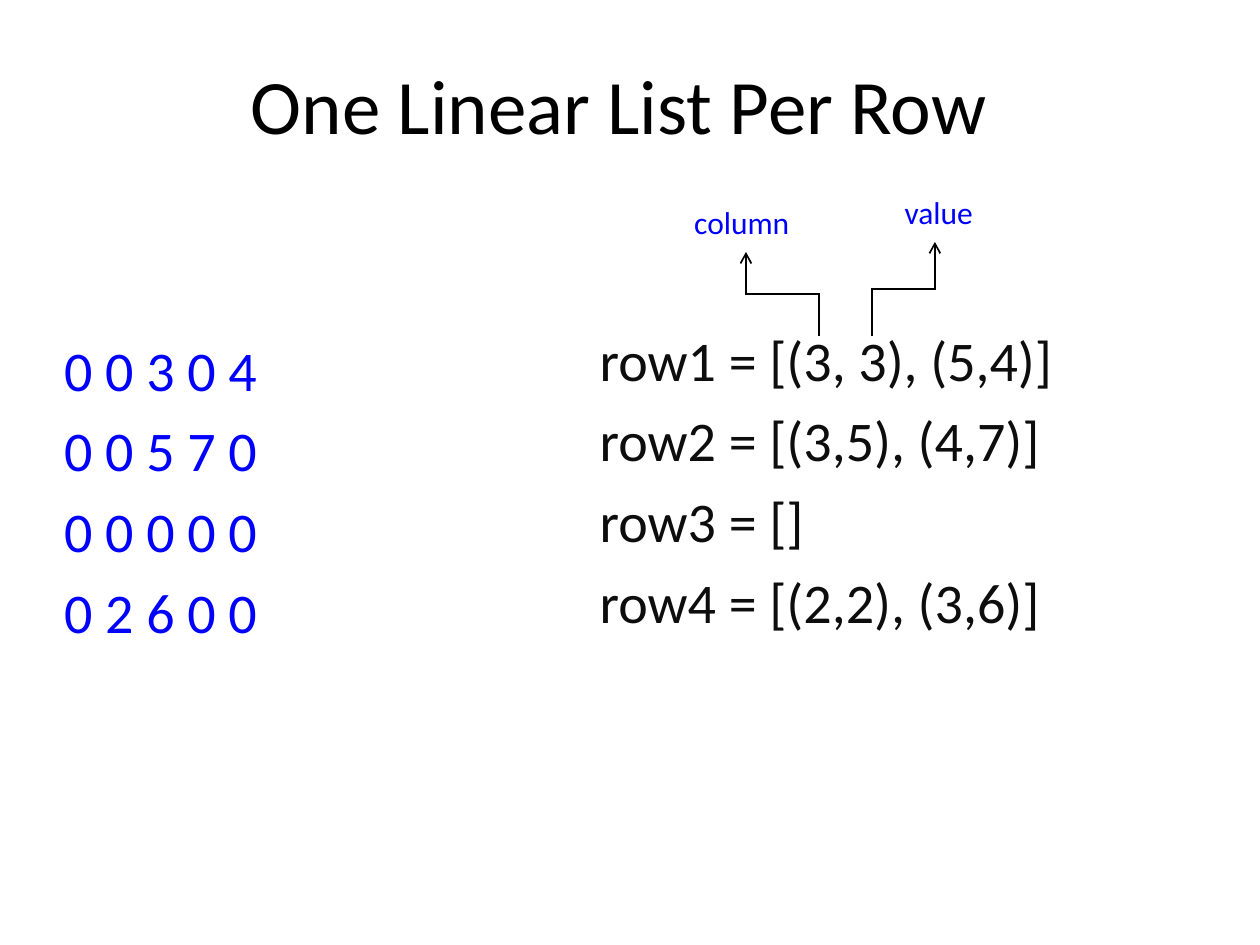
from lxml import etree
from pptx import Presentation
from pptx.dml.color import RGBColor
from pptx.oxml import ns
from pptx.util import Inches, Pt

BLUE, DARK, BLACK = "0000FF", "0D0D0D", "000000"

deck = Presentation()
deck.slide_width, deck.slide_height = Inches(10), Inches(7.5)
page = deck.slides.add_slide(deck.slide_layouts[6])


def add_text(lines, left, top, width, height, size, color, inset=0.01, first_gap=1, gap=7.7):
    """Add a text box with one paragraph per line; gaps are points before a paragraph."""
    box = page.shapes.add_textbox(Inches(left), Inches(top), Inches(width), Inches(height))
    frame = box.text_frame
    frame.word_wrap = True
    frame.margin_left, frame.margin_top = Inches(0.01), Inches(inset)
    frame.margin_right = frame.margin_bottom = 0
    for index, line in enumerate(lines):
        para = frame.add_paragraph() if index else frame.paragraphs[0]
        para.space_before = Pt(gap if index else first_gap)
        span = para.add_run()
        span.text = line
        span.font.name, span.font.size = "Calibri", Pt(size)
        span.font.color.rgb = RGBColor.from_string(color)


def add_elbow_arrow(points):
    """Draw an open line through the points, with an arrowhead at the last one."""
    start, *rest = [(Inches(x), Inches(y)) for x, y in points]
    builder = page.shapes.build_freeform(*start)
    builder.add_line_segments(rest, close=False)
    arrow = builder.convert_to_shape()
    arrow.shadow.inherit = False
    arrow.fill.background()
    arrow.line.width = Pt(1)
    arrow.line.color.rgb = RGBColor.from_string(BLACK)
    outline = arrow.line._get_or_add_ln()
    etree.SubElement(outline, ns.qn("a:miter"), lim="800000")
    etree.SubElement(outline, ns.qn("a:tailEnd"), type="arrow")


add_text(["One Linear List Per Row"], 1.98, 0.45, 5.95, 0.76, 44, BLACK)

matrix_rows = ["0 0 3 0 4", "0 0 5 7 0", "0 0 0 0 0", "0 2 6 0 0"]
add_text(matrix_rows, 0.5, 2.54, 1.65, 2.59, 32, BLUE, inset=0.12, first_gap=8.7)

row_lists = [
    "row1 = [(3, 3), (5,4)]",
    "row2 = [(3,5), (4,7)]",
    "row3 = []",
    "row4 = [(2,2), (3,6)]",
]
add_text(row_lists, 4.75, 2.46, 3.75, 2.59, 32, DARK, inset=0.12, first_gap=8.7)

# Each arrow rises from a number in row1, turns halfway and points at its label.
for start_x, end_x, end_y in [(6.5, 5.92, 2), (6.92, 7.42, 1.92)]:
    start_y = 2.67
    middle_y = (start_y + end_y) / 2
    add_elbow_arrow([(start_x, start_y), (start_x, middle_y), (end_x, middle_y), (end_x, end_y)])

add_text(["value"], 7.17, 1.52, 0.65, 0.33, 18, BLUE)
add_text(["column"], 5.5, 1.6, 0.85, 0.33, 18, BLUE)

deck.save("out.pptx")
